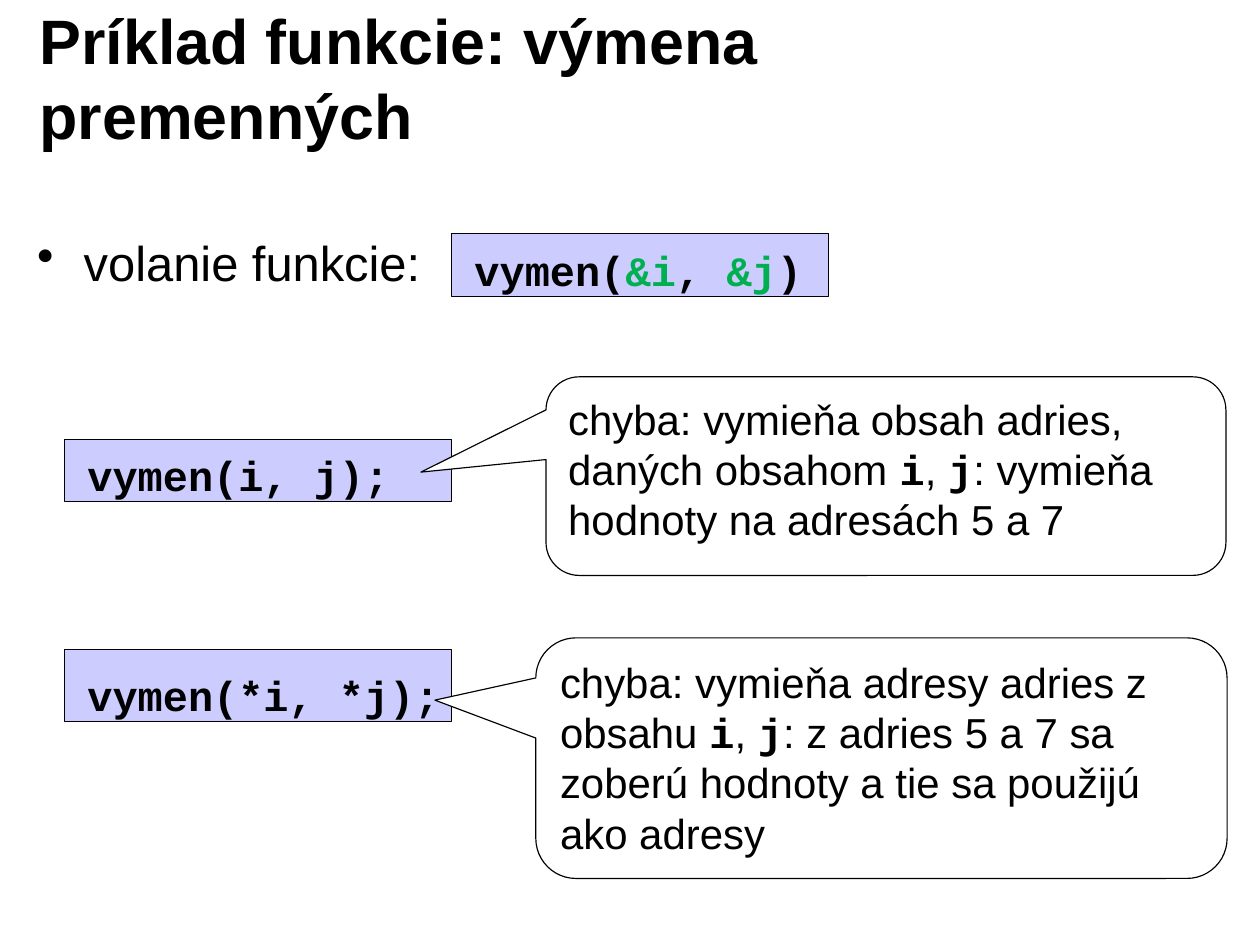
from dataclasses import dataclass

from pptx import Presentation
from pptx.dml.color import RGBColor
from pptx.enum.shapes import MSO_SHAPE
from pptx.enum.text import MSO_ANCHOR, PP_ALIGN
from pptx.oxml.ns import qn
from pptx.util import Inches, Pt

RECT = MSO_SHAPE.RECTANGLE
CALLOUT = MSO_SHAPE.ROUNDED_RECTANGULAR_CALLOUT
LEFT = PP_ALIGN.LEFT
TOP, MIDDLE = MSO_ANCHOR.TOP, MSO_ANCHOR.MIDDLE
BLACK = RGBColor(0x00, 0x00, 0x00)
WHITE = RGBColor(0xFF, 0xFF, 0xFF)
LAVENDER = RGBColor(0xCC, 0xCC, 0xFF)
GREEN = RGBColor(0x00, 0xB0, 0x50)
SANS, MONO = "Arial", "Courier New"
TITLE_SIZE, BODY_SIZE, NOTE_SIZE = 39.8, 31, 26.6


@dataclass
class Run:
    text: str
    font: str = SANS
    bold: bool = False
    color: RGBColor = BLACK
    size: float = NOTE_SIZE


@dataclass
class Box:
    at: tuple[float, float, float, float]
    runs: list[Run]
    insets: tuple[float, float, float, float]
    anchor: MSO_ANCHOR = TOP
    preset: MSO_SHAPE | None = None
    fill: RGBColor = WHITE
    adjust: tuple[float, ...] = ()


def code(text: str, color: RGBColor = BLACK) -> Run:
    """Return a bold monospaced run."""
    return Run(text, MONO, True, color)


def code_box(x: float, y: float, w: float, h: float, runs: list[Run], top: float = 0.08) -> Box:
    """Describe a lavender box holding one line of code."""
    return Box((x, y, w, h), runs, (0.2, top, 0, 0), MIDDLE, RECT, LAVENDER)


def callout(at: tuple[float, float, float, float], tip: tuple[float, float],
            before: str, after: str) -> Box:
    """Describe a callout about the variables i and j."""
    runs = [Run(before), code("i"), Run(", "), code("j"), Run(after)]
    return Box(at, runs, (0.11, 0.06, 0.11, 0.06), TOP, CALLOUT, WHITE, (*tip, 0.167))


def draw(shapes, box: Box):
    """Draw one box with its text and return its paragraph."""
    at = [Inches(v) for v in box.at]
    if box.preset is None:
        sp = shapes.add_textbox(*at)
    else:
        sp = shapes.add_shape(box.preset, *at)
        sp.shadow.inherit = False
        sp.fill.solid()
        sp.fill.fore_color.rgb = box.fill
        sp.line.color.rgb = BLACK
        sp.line.width = Pt(0.75)
        for i, value in enumerate(box.adjust):
            sp.adjustments[i] = value
    tf = sp.text_frame
    tf.word_wrap = True
    tf.vertical_anchor = box.anchor
    tf.margin_left, tf.margin_top, tf.margin_right, tf.margin_bottom = map(Inches, box.insets)
    p = tf.paragraphs[0]
    p.alignment = LEFT
    for run in box.runs:
        r = p.add_run()
        r.text = run.text
        r.font.name = run.font
        r.font.size = Pt(run.size)
        r.font.bold = run.bold
        r.font.color.rgb = run.color
    return p


def add_bullet(p, indent: float) -> None:
    """Give a paragraph a round bullet with a hanging indent."""
    pPr = p._p.get_or_add_pPr()
    pPr.set("marL", str(Inches(indent)))
    pPr.set("indent", str(-Inches(indent)))
    bu = pPr.makeelement(qn("a:buChar"), {"char": "•"})
    pPr.append(bu)


TEXT_INSETS = (0.1, 0.05, 0.1, 0.05)
TITLE = Box((0.25, 0.17, 8.91, 1.02),
            [Run("Príklad funkcie: výmena premenných", bold=True, size=TITLE_SIZE)],
            TEXT_INSETS, MIDDLE)
BODY = Box((0.23, 2, 10.63, 0.94), [Run("volanie funkcie:", size=BODY_SIZE)], TEXT_INSETS)
EXAMPLES = [
    code_box(3.98, 2.06, 3.32, 0.55, [code("vymen("), code("&i", GREEN), code(", "),
                                      code("&j", GREEN), code(")")]),
    code_box(0.57, 3.87, 3.41, 0.55, [code("vymen(i, j);")]),
    code_box(0.57, 5.72, 3.41, 0.64, [code("vymen(*i, *j);")], 0.17),
    callout((4.81, 3.32, 5.99, 1.75), (-0.684, -0.02),
            "chyba: vymieňa obsah adries, daných obsahom ",
            ": vymieňa hodnoty na adresách 5 a 7"),
    callout((4.72, 5.62, 6.09, 2.12), (-0.646, -0.241),
            "chyba: vymieňa adresy adries z obsahu ",
            ": z adries 5 a 7 sa zoberú hodnoty a tie sa použijú ako adresy"),
]

prs = Presentation()
prs.slide_width, prs.slide_height = Inches(11.1), Inches(8.3)
s = prs.slides.add_slide(prs.slide_layouts[6])
draw(s.shapes, TITLE)
body = draw(s.shapes, BODY)
body.space_before = Pt(6)
add_bullet(body, 0.41)
for example in EXAMPLES:
    draw(s.shapes, example)
prs.save("out.pptx")
